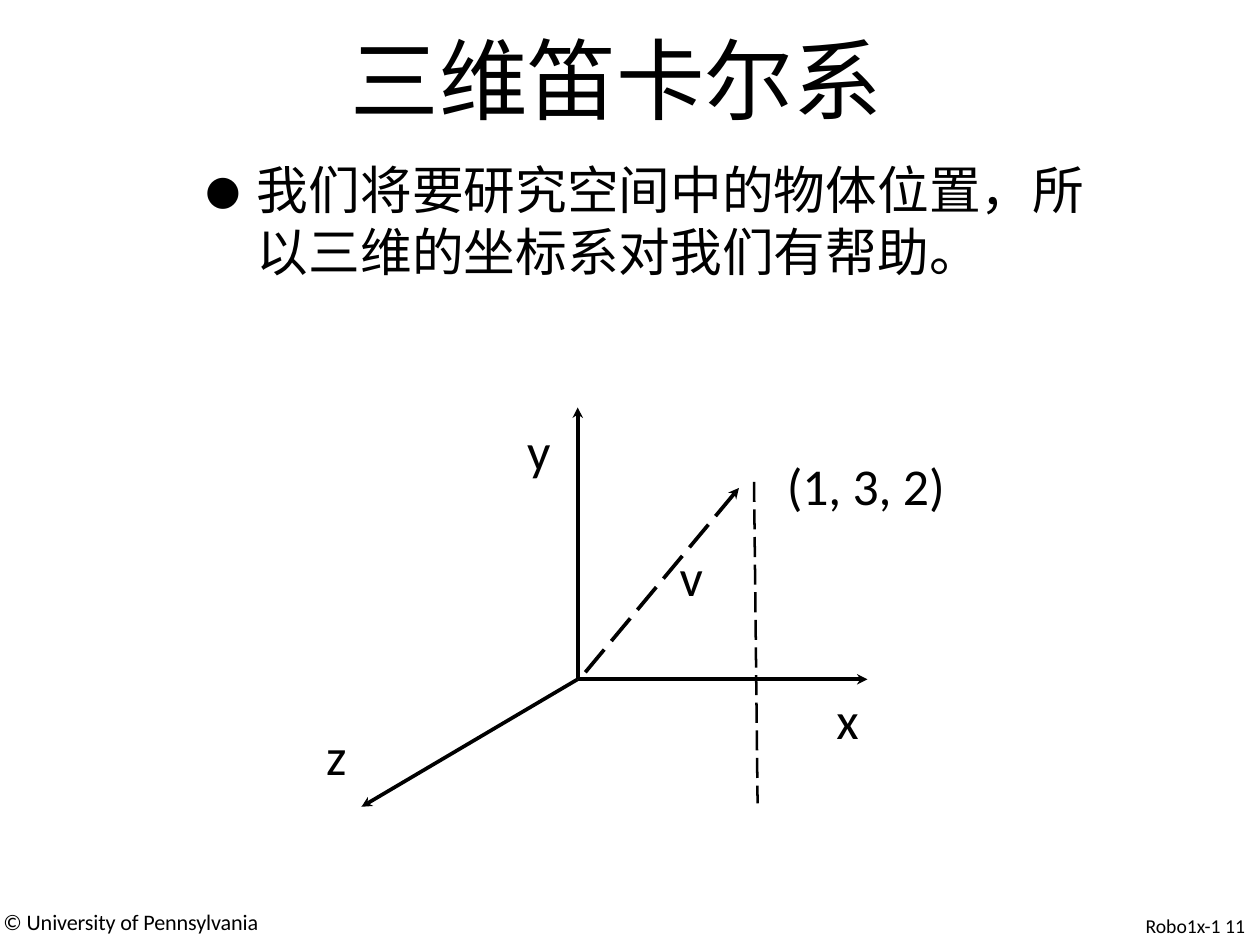
from dataclasses import dataclass
from math import dist

from lxml import etree
from pptx import Presentation
from pptx.dml.color import RGBColor
from pptx.enum.dml import MSO_LINE
from pptx.enum.shapes import MSO_CONNECTOR
from pptx.enum.text import MSO_ANCHOR, MSO_AUTO_SIZE, PP_ALIGN
from pptx.oxml.ns import qn
from pptx.util import Pt

PX = 9144  # EMU, 100 px to the inch
BLACK = RGBColor(0, 0, 0)
FONT = "Calibri"
STRAIGHT = MSO_CONNECTOR.STRAIGHT
DASH = MSO_LINE.LONG_DASH
TOP = MSO_ANCHOR.TOP
LEFT = PP_ALIGN.LEFT
NO_FIT = MSO_AUTO_SIZE.NONE

Spot = tuple[int, int]
Box = tuple[int, int, int, int]
ORIGIN: Spot = (652, 767)
BARB, NOTCH, HALF = 12, 8, 6  # arrowhead length, notch depth, half width


@dataclass
class Label:
    text: str
    box: Box
    size: int = 42
    margin: int = 1
    indent: int = 0
    wrap: bool = False
    bullet: bool = False
    tight: bool = False
    leading: float | None = None


@dataclass
class Line:
    start: Spot
    end: Spot
    width: float = 3
    dashed: bool = False
    arrow: bool = True


TITLE = Label("三维笛卡尔系", (196, 28, 1030, 121), size=72, margin=200, tight=True)
LABELS = [
    Label("我们将要研究空间中的物体位置，所以三维的坐标系对我们有帮助。",
          (226, 178, 1000, 141), margin=64, indent=-62, wrap=True, bullet=True),
    Label("(1, 3, 2)", (887, 513, 182, 74), tight=True),
    Label("v", (766, 615, 29, 74)),
    Label("x", (943, 777, 28, 74)),
    Label("y", (594, 473, 29, 74)),
    Label("z", (367, 817, 26, 74)),
    Label("© University of Pennsylvania", (3, 1031, 297, 28), size=18,
          tight=True, leading=18.1),
    Label("Robo1x-1 11", (1292, 1036, 123, 25), size=16, leading=16.1),
]
# Each arrow starts at its tip.
LINES = [
    Line((652, 460), ORIGIN),
    Line((979, 767), ORIGIN),
    Line((408, 911), ORIGIN),
    Line((834, 551), (654, 767), dashed=True),
    Line((851, 544), (855, 907), width=2.04, dashed=True, arrow=False),
]


def assign(target, values: dict) -> None:
    for name, value in values.items():
        setattr(target, name, value)


def fill_text(shape, label: Label) -> None:
    """Place a text shape and write its label."""
    places = ("left", "top", "width", "height")
    assign(shape, {name: n * PX for name, n in zip(places, label.box)})
    frame = shape.text_frame
    assign(frame, {
        "margin_left": 0, "margin_top": 0, "margin_right": 0, "margin_bottom": 0,
        "word_wrap": label.wrap, "auto_size": NO_FIT, "vertical_anchor": TOP,
    })
    para = frame.paragraphs[0]
    props = para._p.get_or_add_pPr()
    props.set("marL", str(label.margin * PX))
    props.set("indent", str(label.indent * PX))
    if label.bullet:
        etree.SubElement(props, qn("a:buSzPct"), val="170000")
        etree.SubElement(props, qn("a:buFont"), typeface=FONT)
        etree.SubElement(props, qn("a:buChar"), char="•")
    para.alignment = LEFT
    if label.leading:
        para.line_spacing = Pt(label.leading)
    run = para.add_run()
    run.text = label.text
    assign(run.font, {"name": FONT, "size": Pt(label.size)})
    run.font.color.rgb = BLACK
    if label.tight:
        run._r.get_or_add_rPr().set("spc", "-10")


def draw_head(shapes, line: Line) -> Spot:
    """Draw a barbed head at the line's start; return its notch in EMU."""
    (x, y), (end_x, end_y) = line.start, line.end
    span = dist(line.start, line.end)
    dx, dy = (end_x - x) / span, (end_y - y) / span

    def point(back: int, side: int) -> Spot:
        return (round((x + back * dx - side * dy) * PX),
                round((y + back * dy + side * dx) * PX))

    notch = point(NOTCH, 0)
    pen = shapes.build_freeform(*point(0, 0), scale=1.0)
    pen.add_line_segments([point(BARB, HALF), notch, point(BARB, -HALF)])
    head = pen.convert_to_shape()
    head.shadow.inherit = False
    head.fill.solid()
    head.fill.fore_color.rgb = BLACK
    head.line.fill.background()
    return notch


def draw_line(shapes, line: Line) -> None:
    start = tuple(n * PX for n in line.start)
    if line.arrow:
        start = draw_head(shapes, line)
    end = tuple(n * PX for n in line.end)
    shape = shapes.add_connector(STRAIGHT, *start, *end)
    shape.line.color.rgb = BLACK
    shape.line.width = Pt(line.width)
    if line.dashed:
        shape.line.dash_style = DASH
    etree.SubElement(shape._element.spPr, qn("a:effectLst"))


def main() -> None:
    deck = Presentation()
    assign(deck, {"slide_width": 1422 * PX, "slide_height": 1067 * PX})
    shapes = deck.slides.add_slide(deck.slide_layouts[5]).shapes
    fill_text(shapes.title, TITLE)
    for line in LINES:
        draw_line(shapes, line)
    for label in LABELS:
        fill_text(shapes.add_textbox(0, 0, 0, 0), label)
    deck.save("out.pptx")


if __name__ == "__main__":
    main()
